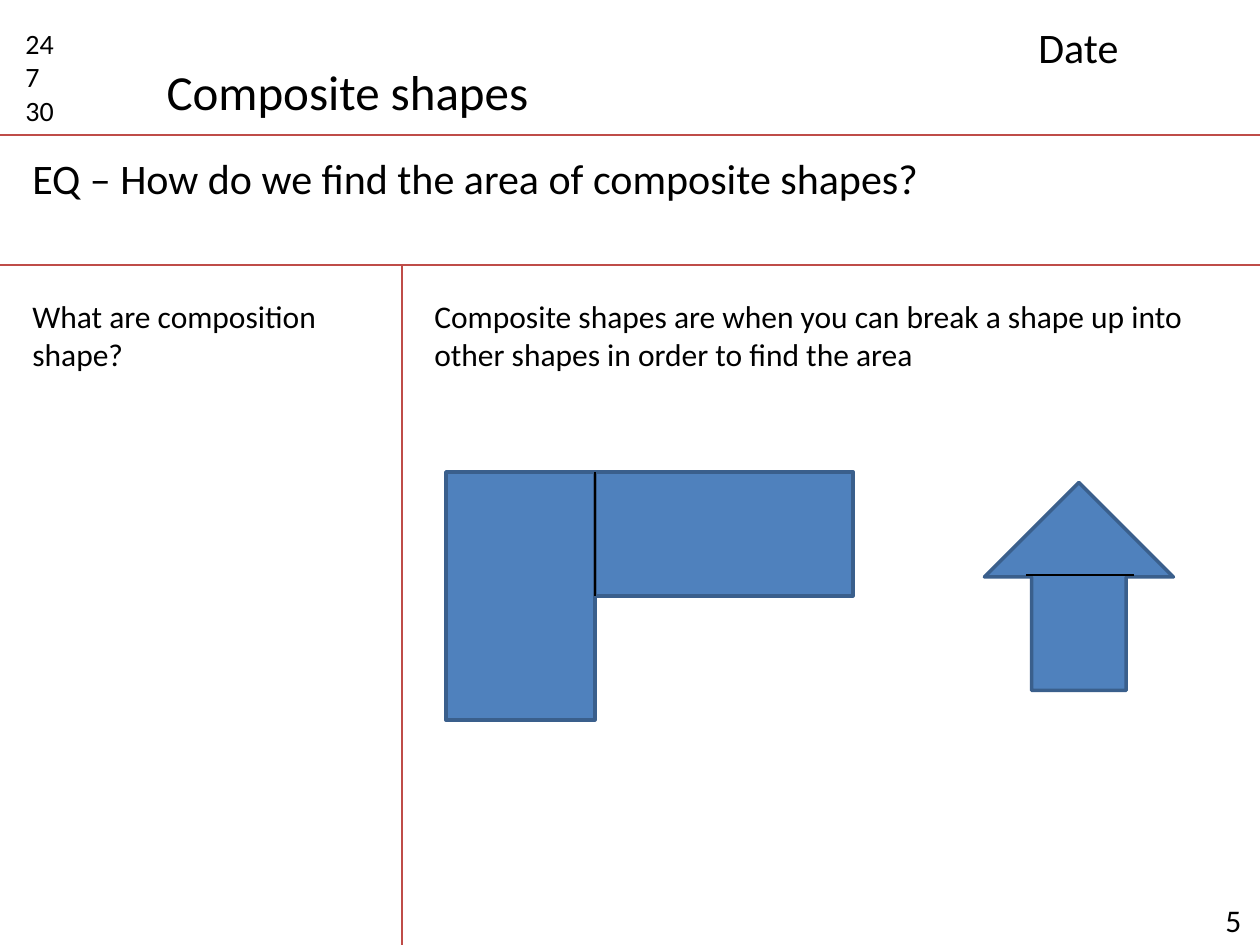
"""Builds a notes slide on finding the area of composite shapes."""
from pptx import Presentation
from pptx.dml.color import RGBColor
from pptx.enum.shapes import MSO_CONNECTOR, MSO_SHAPE
from pptx.enum.text import MSO_ANCHOR, MSO_AUTO_SIZE, PP_ALIGN
from pptx.oxml.ns import qn
from pptx.util import Pt
from lxml import etree

RECT, ARROW = MSO_SHAPE.RECTANGLE, MSO_SHAPE.RIGHT_ARROW
LINE = MSO_CONNECTOR.STRAIGHT
LEFT, TOP = PP_ALIGN.LEFT, MSO_ANCHOR.TOP
GROW = MSO_AUTO_SIZE.SHAPE_TO_FIT_TEXT

BLACK = RGBColor(0x00, 0x00, 0x00)
RED = RGBColor(0xBF, 0x4C, 0x48)
BLUE = RGBColor(0x4F, 0x81, 0xBD)
NAVY = RGBColor(0x3A, 0x5F, 0x8C)

FONT = "Calibri"
PX = 914400 // 126
WIDE, HIGH = 1260, 945
HEAD, BODY, SPLIT = 135, 265, 402

TITLE = ("Composite shapes", (154, 55, 391, 72), 28)
TEXTS = [
    ("24\n7\n30", (13, 20, 79, 115), 16),
    ("Date", (1026, 15, 218, 63), 24),
    ("EQ – How do we find the area of composite shapes?", (20, 146, 1188, 63), 24),
    ("What are composition shape?", (20, 291, 352, 89), 18),
    ("Composite shapes are when you can break a shape up into other shapes "
     "in order to find the area", (422, 291, 822, 89), 18),
    ("5", (1213, 895, 47, 50), 18),
]
RULES = [(0, HEAD, WIDE, HEAD), (0, BODY, WIDE, BODY), (SPLIT, BODY, SPLIT, HIGH)]
SHAPES = [
    (RECT, (446, 472, 149, 248), 0),
    (RECT, (595, 472, 258, 124), 0),
    (ARROW, (975, 492, 208, 189), 270),
]
CUTS = [(595, 472, 595, 596), (1026, 575, 1134, 575)]


def scale(box):
    return [n * PX for n in box]


def write(shape, text, size, wrap=True):
    frame = shape.text_frame
    frame.text = text
    frame.word_wrap = wrap
    frame.auto_size = GROW
    frame.vertical_anchor = TOP
    for para in frame.paragraphs:
        para.alignment = LEFT
        for run in para.runs:
            run.font.name = FONT
            run.font.size = Pt(size)
            run.font.color.rgb = BLACK


def draw(shapes, ends, color):
    line = shapes.add_connector(LINE, *scale(ends))
    line.line.color.rgb = color
    line.line.width = Pt(0.75)
    etree.SubElement(line._element.spPr, qn("a:effectLst"))


def main():
    deck = Presentation()
    deck.slide_width, deck.slide_height = scale((WIDE, HIGH))
    shapes = deck.slides.add_slide(deck.slide_layouts[5]).shapes

    text, box, size = TITLE
    title = shapes.title
    title.left, title.top, title.width, title.height = scale(box)
    write(title, text, size, False)

    for ends in RULES:
        draw(shapes, ends, RED)
    for text, box, size in TEXTS:
        write(shapes.add_textbox(*scale(box)), text, size)
    for kind, box, turn in SHAPES:
        shape = shapes.add_shape(kind, *scale(box))
        shape.rotation = turn
        shape.shadow.inherit = False
        shape.fill.solid()
        shape.fill.fore_color.rgb = BLUE
        shape.line.color.rgb = NAVY
        shape.line.width = Pt(2)
    for ends in CUTS:
        draw(shapes, ends, BLACK)

    deck.save("out.pptx")


if __name__ == "__main__":
    main()
